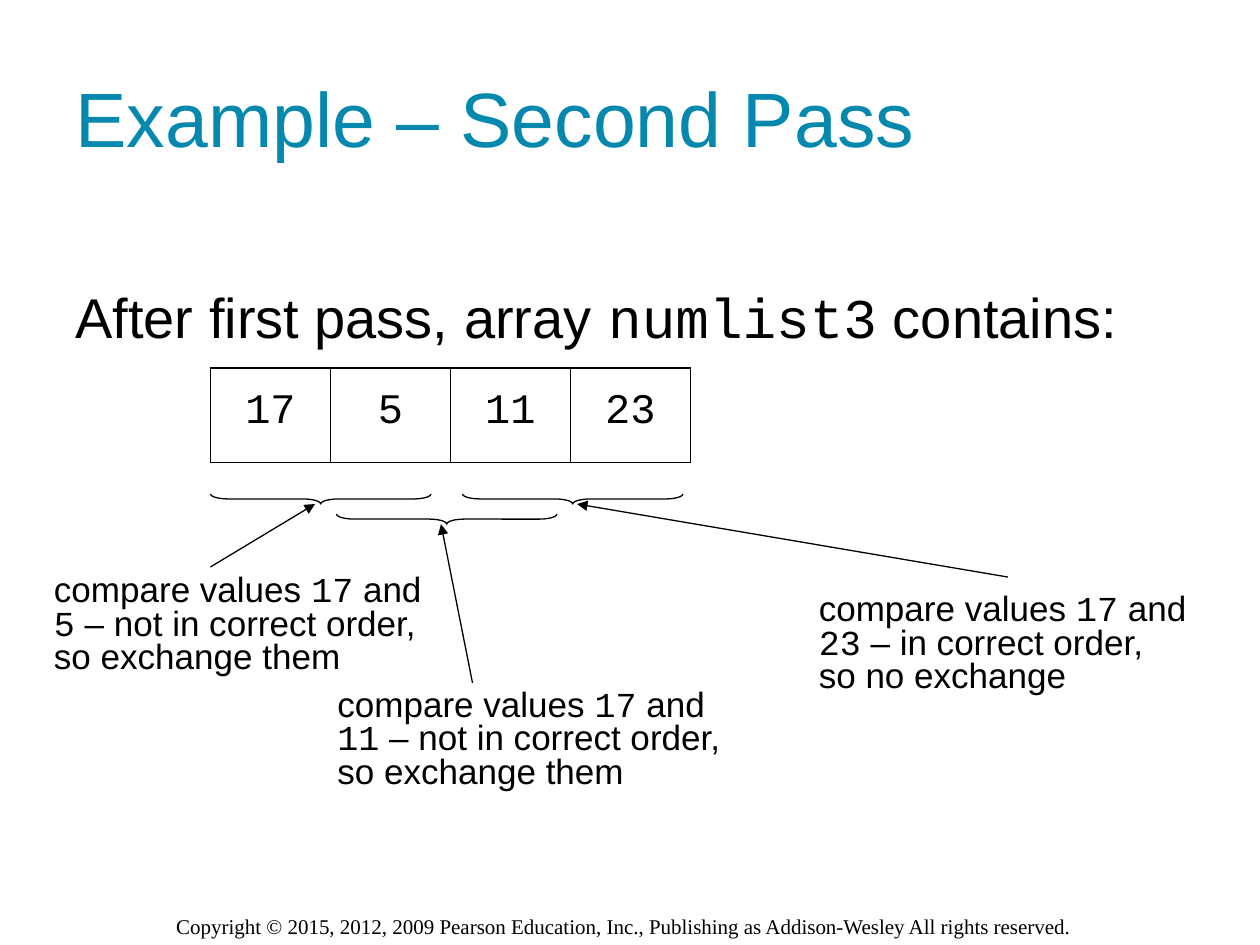
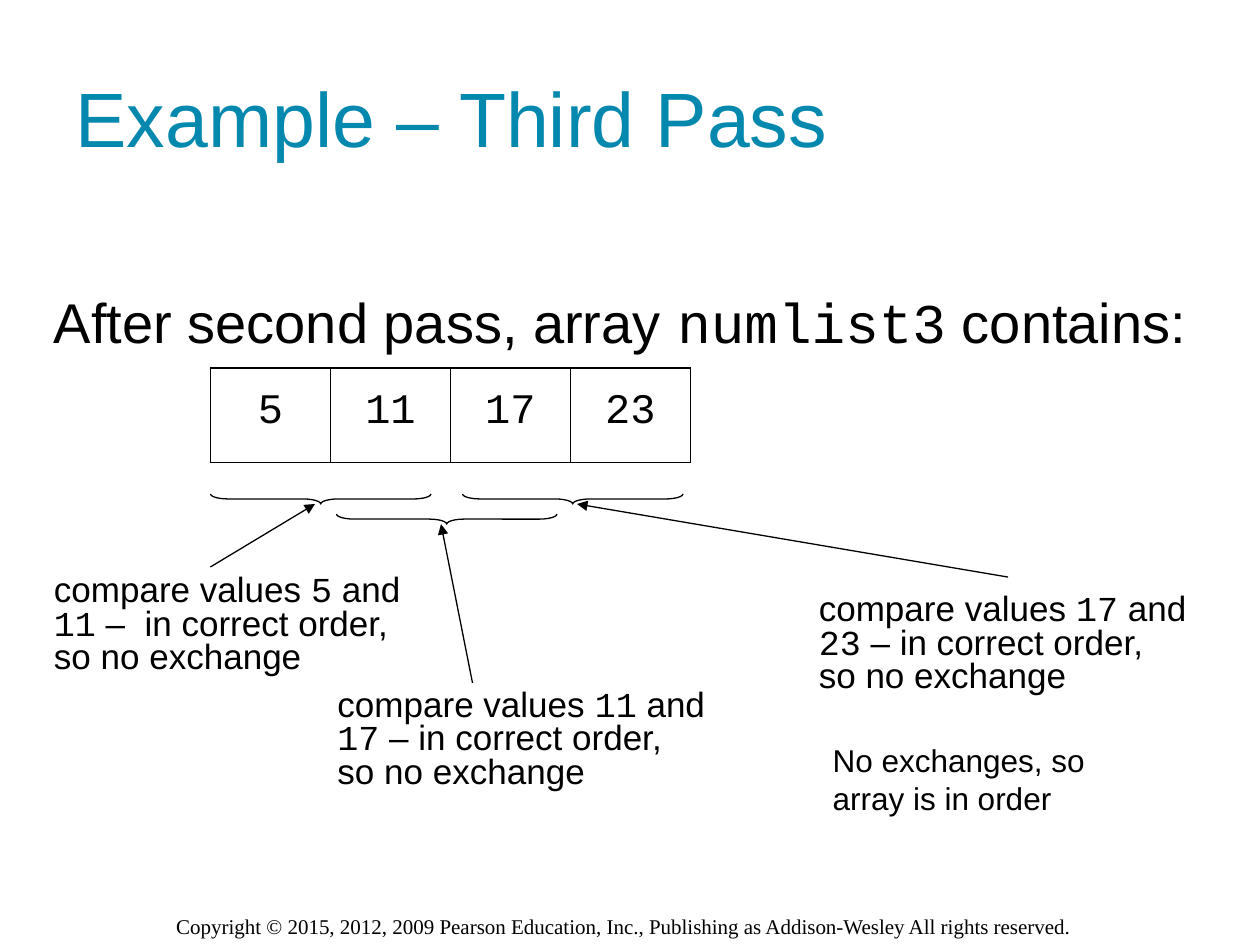
import pptx
import pptx.util
import pptx.dml.color
import pptx.enum.shapes
import pptx.enum.text
import pptx.oxml.ns
from lxml import etree

Inches = pptx.util.Inches
Pt = pptx.util.Pt
MIDDLE = pptx.enum.text.MSO_ANCHOR.MIDDLE
CENTER = pptx.enum.text.PP_ALIGN.CENTER
LEFT = pptx.enum.text.PP_ALIGN.LEFT
GROW = pptx.enum.text.MSO_AUTO_SIZE.SHAPE_TO_FIT_TEXT
FIXED = pptx.enum.text.MSO_AUTO_SIZE.NONE

BLACK = "000000"
TEAL = "0488AE"
BODY_FONT = "Arial"
CODE_FONT = "Courier New"
FOOTER_FONT = "Times New Roman"
COPYRIGHT = ("Copyright © 2015, 2012, 2009 Pearson Education, Inc., "
             "Publishing as Addison-Wesley All rights reserved.")

TITLE_BOX = (0.5, 0.3, 9, 1.25)
FOOTER_BOX = (1.3, 7.2, 7.42, 0.3)
ARRAY_BOX = (1.67, 2.92, 3.81, 0.75)
BRACE_LENGTH, BRACE_DEPTH = 1.75, 0.08
COMPARISON_LAYOUT = [
    {"brace": (0, 1), "tip": 0.83, "tail": (0, 1.58), "caption": (-1.34, 1.6)},
    {"brace": (1, 1.16), "tip": 0.83, "tail": (2.08, 2.5), "caption": (0.91, 2.51)},
    {"brace": (2, 1), "tip": 0.91, "tail": (6.33, 1.66), "caption": (4.73, 1.75)},
]

SWAP = " – not in correct order,", "so exchange them"
KEEP = " – in correct order,", "so no exchange"
WIDE_KEEP = " –  in correct order,", "so no exchange"

PASSES = [
    {
        "title": "Example – Second Pass",
        "lead": "After first pass, array ",
        "lead_box": (0.5, 2.13, 9.08, 4.09),
        "values": ["17", "5", "11", "23"],
        "comparisons": [("17", "5", SWAP, 3.19), ("17", "11", SWAP, 3.33),
                        ("17", "23", KEEP, 3.12)],
        "conclusion": [],
    },
    {
        "title": "Example – Third Pass",
        "lead": "After second pass, array ",
        "lead_box": (0.33, 2.17, 9.25, 4.5),
        "values": ["5", "11", "17", "23"],
        "comparisons": [("5", "11", WIDE_KEEP, 3.03), ("11", "17", KEEP, 3.12),
                        ("17", "23", KEEP, 3.12)],
        "conclusion": ["No exchanges, so", "array is in order"],
    },
]


def rgb(color):
    return pptx.dml.color.RGBColor.from_string(color)


def add_run(paragraph, text, size, font=BODY_FONT, color=BLACK):
    run = paragraph.add_run()
    run.text = text
    run.font.size = Pt(size)
    run.font.name = font
    run.font.color.rgb = rgb(color)


def add_text(slide, box, lines, size, wrap=False, spacing=None, auto_size=GROW):
    shape = slide.shapes.add_textbox(*map(Inches, box))
    frame = shape.text_frame
    frame.word_wrap = wrap
    frame.auto_size = auto_size
    for index, line in enumerate(lines):
        paragraph = frame.add_paragraph() if index else frame.paragraphs[0]
        if spacing:
            paragraph.line_spacing = spacing
        for text, font in line:
            add_run(paragraph, text, size, font)
    return shape


def add_title(slide, box, text):
    title = slide.shapes.title
    title.left, title.top, title.width, title.height = map(Inches, box)
    frame = title.text_frame
    frame.auto_size = FIXED
    frame.vertical_anchor = MIDDLE
    paragraph = frame.paragraphs[0]
    paragraph.alignment = LEFT
    add_run(paragraph, text, 44, color=TEAL)


def add_lead(slide, box, text):
    line = [(text, BODY_FONT), ("numlist3", CODE_FONT), (" contains:", BODY_FONT)]
    shape = add_text(slide, box, [line], 32, wrap=True, auto_size=FIXED)
    shape.text_frame.margin_top = Inches(0.11)


def set_cell_borders(cell, widths):
    properties = cell._tc.get_or_add_tcPr()
    for side, width in zip("LRTB", widths):
        line = etree.SubElement(properties, pptx.oxml.ns.qn(f"a:ln{side}"), w=str(Pt(width)))
        fill = etree.SubElement(line, pptx.oxml.ns.qn("a:solidFill"))
        etree.SubElement(fill, pptx.oxml.ns.qn("a:srgbClr"), val=BLACK)


def add_array(slide, box, values):
    outer, inner = 1.08, 0.45
    table = slide.shapes.add_table(1, len(values), *map(Inches, box)).table
    table.first_row = False
    table.horz_banding = False
    for index, value in enumerate(values):
        table.columns[index].width = Inches(box[2] / len(values))
        cell = table.cell(0, index)
        left = inner if index else outer
        right = outer if index == len(values) - 1 else inner
        set_cell_borders(cell, (left, right, outer, outer))
        cell.fill.background()
        paragraph = cell.text_frame.paragraphs[0]
        paragraph.alignment = CENTER
        paragraph.line_spacing = 1.3
        add_run(paragraph, value, 24, CODE_FONT)


def add_brace(slide, left, top):
    frame_left = left + (BRACE_LENGTH - BRACE_DEPTH) / 2
    frame_top = top + (BRACE_DEPTH - BRACE_LENGTH) / 2
    brace = slide.shapes.add_shape(
        pptx.enum.shapes.MSO_SHAPE.RIGHT_BRACE,
        *map(Inches, (frame_left, frame_top, BRACE_DEPTH, BRACE_LENGTH)))
    brace.adjustments[0] = 1.75
    brace.rotation = 90
    brace.shadow.inherit = False
    brace.fill.background()
    brace.line.color.rgb = rgb(BLACK)
    brace.line.width = Pt(0.75)


def add_arrow(slide, start, end):
    arrow = slide.shapes.add_connector(
        pptx.enum.shapes.MSO_CONNECTOR.STRAIGHT, *map(Inches, start + end))
    arrow.line.color.rgb = rgb(BLACK)
    arrow.line.width = Pt(0.75)
    etree.SubElement(arrow.line._get_or_add_ln(), pptx.oxml.ns.qn("a:tailEnd"), type="triangle")
    etree.SubElement(arrow._element.spPr, pptx.oxml.ns.qn("a:effectLst"))


def add_comparison(slide, box, layout, comparison):
    def place(offset):
        return box[0] + offset[0], box[1] + offset[1]

    first, second, (verdict, action), width = comparison
    left, top = place(layout["brace"])
    add_brace(slide, left, top)
    add_arrow(slide, place(layout["tail"]), (left + layout["tip"], top + BRACE_DEPTH))
    lines = [
        [("compare values ", BODY_FONT), (first, CODE_FONT), (" and", BODY_FONT)],
        [(second, CODE_FONT), (verdict, BODY_FONT)],
        [(action, BODY_FONT)],
    ]
    add_text(slide, place(layout["caption"]) + (width, 0.9), lines, 20, spacing=0.8)


def add_pass_slide(presentation, content):
    slide = presentation.slides.add_slide(presentation.slide_layouts[5])
    add_text(slide, FOOTER_BOX, [[(COPYRIGHT, FOOTER_FONT)]], 12, wrap=True)
    add_title(slide, TITLE_BOX, content["title"])
    add_lead(slide, content["lead_box"], content["lead"])
    add_array(slide, ARRAY_BOX, content["values"])
    for layout, comparison in zip(COMPARISON_LAYOUT, content["comparisons"]):
        add_comparison(slide, ARRAY_BOX, layout, comparison)
    if content["conclusion"]:
        lines = [[(line, BODY_FONT)] for line in content["conclusion"]]
        add_text(slide, (6.51, 5.83, 2.27, 0.7), lines, 18)


def main():
    presentation = pptx.Presentation()
    presentation.slide_width = Inches(10)
    presentation.slide_height = Inches(7.5)
    for content in PASSES:
        add_pass_slide(presentation, content)
    presentation.save("out.pptx")


if __name__ == "__main__":
    main()
